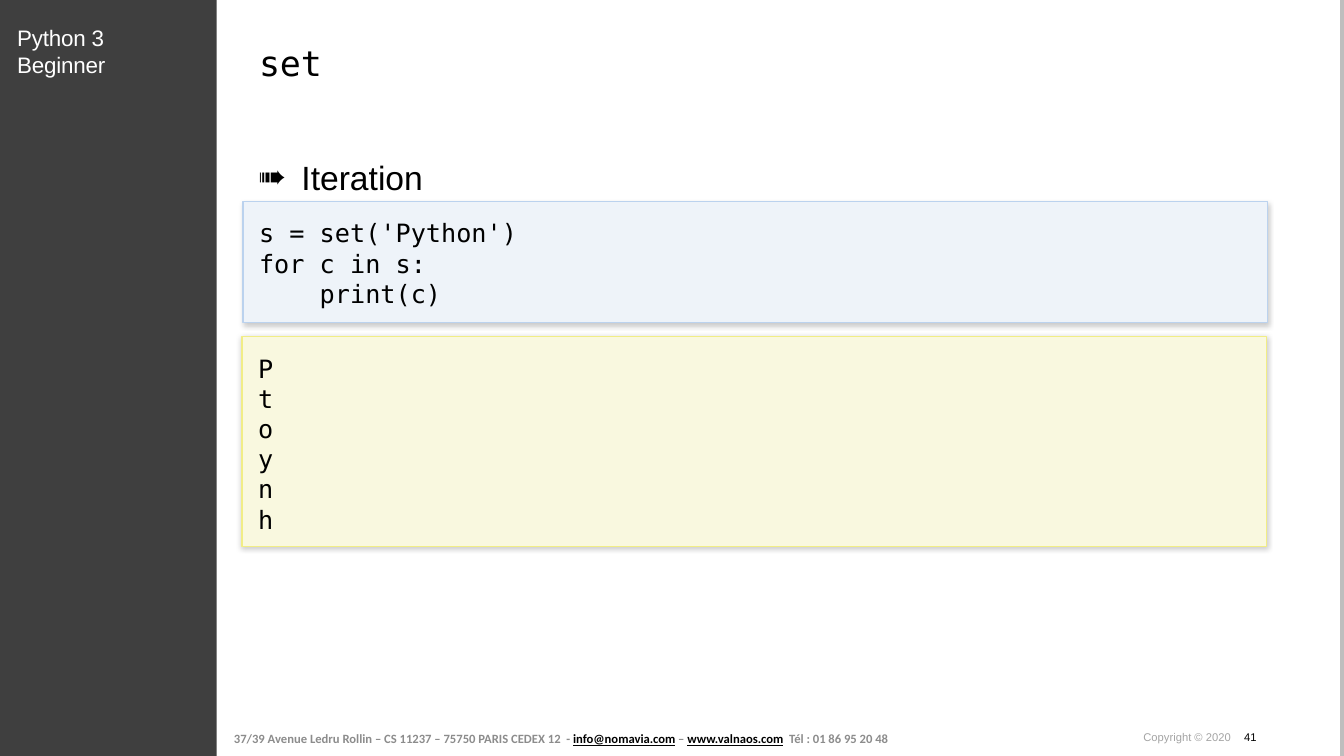
from lxml import etree
from pptx import Presentation
from pptx.dml.color import RGBColor
from pptx.enum import shapes, text
from pptx.oxml import parse_xml
from pptx.oxml.ns import nsdecls, qn
from pptx.util import Inches, Pt

# Content
COLORS = {"ink": "000000", "white": "FFFFFF", "sidebar": "3F3F3F", "edge": "BEBEBE",
          "footer": "8C8C8C", "copyright": "A4A4A4",
          "code": "EEF3F9", "code_line": "BBD2EE",
          "output": "F9F8DF", "output_line": "F1ED86"}
MONO = "DejaVu Sans Mono"
COURSE = "Python 3\vBeginner"
TITLE = "set"
TOPIC = "Iteration"
CODE = ["s = set('Python')", "for c in s:", "    print(c)"]
OUTPUT = ["P", "t", "o", "y", "n", "h"]
FOOTER = [("37/39 Avenue Ledru Rollin – CS 11237 – 75750 PARIS CEDEX 12  - ", False),
          ("info@nomavia.com", True), (" – ", False),
          ("www.valnaos.com", True), ("  Tél : 01 86 95 20 48", False)]
COPYRIGHT = [("Copyright © 2020", "copyright"), ("\t41", "ink")]
PANELS = [("code", CODE, (2.41, 2, 10.16, 1.2)),
          ("output", OUTPUT, (2.4, 3.34, 10.16, 2.08))]


def rgb(key):
    return RGBColor.from_string(COLORS[key])


def frame(sp, insets=(0, 0, 0, 0), anchor=text.MSO_ANCHOR.TOP):
    tf = sp.text_frame
    values = dict(zip(("margin_left", "margin_top", "margin_right", "margin_bottom"),
                      map(Inches, insets)))
    values.update(word_wrap=True, auto_size=text.MSO_AUTO_SIZE.NONE, vertical_anchor=anchor)
    for name, value in values.items():
        setattr(tf, name, value)
    return tf


def place(sp, box):
    for name, value in zip(("left", "top", "width", "height"), box):
        setattr(sp, name, Inches(value))


def indent(p, left, first=0):
    pPr = p._p.get_or_add_pPr()
    pPr.set("marL", str(Inches(left)))
    pPr.set("indent", str(Inches(first)))
    return pPr


def write(p, words, color, spacing=0, **font):
    p.alignment = text.PP_ALIGN.LEFT
    p.space_before = Pt(0)
    p.add_line_break() if not words else None
    for i, part in enumerate(words.split("\v")):
        if i:
            p.add_line_break()
        r = p.add_run()
        r.text = part
        for name, value in font.items():
            setattr(r.font, name, value)
        r.font.color.rgb = rgb(color)
        if spacing:
            r._r.get_or_add_rPr().set("spc", str(spacing))


def text_box(box, **options):
    return frame(slide.shapes.add_textbox(*map(Inches, box)), **options).paragraphs[0]


def add_shadow(sp):
    sp._element.spPr.append(parse_xml(
        f'<a:effectLst {nsdecls("a")}><a:outerShdw blurRad="{Pt(4)}" dist="{Pt(1)}" '
        'dir="5400000" rotWithShape="0"><a:srgbClr val="000000"><a:alpha val="20000"/>'
        '</a:srgbClr></a:outerShdw></a:effectLst>'))


prs = Presentation()
prs.slide_width, prs.slide_height = Inches(13.33), Inches(7.5)
slide = prs.slides.add_slide(prs.slide_layouts[1])

# Right edge and sidebar
edge = slide.shapes.add_connector(shapes.MSO_CONNECTOR.STRAIGHT,
                                  Inches(13.31), 0, Inches(13.31), Inches(7.5))
edge.line.color.rgb = rgb("edge")
edge.line.width = Pt(3.34)
etree.SubElement(edge._element.spPr, qn("a:effectLst"))

sidebar = slide.shapes.add_shape(shapes.MSO_SHAPE.RECTANGLE, 0, 0, Inches(2.15), Inches(7.5))
sidebar.shadow.inherit = False
sidebar.fill.solid()
sidebar.fill.fore_color.rgb = rgb("sidebar")
sidebar.line.fill.background()
p = text_box((0.16, 0.24, 1.81, 0.54))
indent(p, 0.01)
write(p, COURSE, "white", spacing=-10, size=Pt(16), name="Arial")

# Title and topic
title, body = slide.placeholders
place(title, (0.86, 0.41, 11.62, 0.42))
p = frame(title).paragraphs[0]
indent(p, 1.71)
write(p, TITLE, "ink", spacing=-10, size=Pt(25), name=MONO)

place(body, (0.75, 1.33, 11.82, 0.61))
p = frame(body, insets=(0, 0.23, 0, 0)).paragraphs[0]
pPr = indent(p, 2.24, -0.43)
etree.SubElement(pPr, qn("a:buChar")).set("char", "➠")
write(p, TOPIC, "ink", size=Pt(24), name="Arial")

# Code and output panels
for kind, lines, box in PANELS:
    sp = slide.shapes.add_shape(shapes.MSO_SHAPE.RECTANGLE, *map(Inches, box))
    sp.fill.solid()
    sp.fill.fore_color.rgb = rgb(kind)
    sp.line.color.rgb = rgb(kind + "_line")
    sp.line.width = Pt(1)
    add_shadow(sp)
    tf = frame(sp, insets=[0.16] * 4)
    for i, line in enumerate(lines):
        p = tf.add_paragraph() if i else tf.paragraphs[0]
        write(p, line, "ink", size=Pt(18), name=MONO)

# Footer
p = text_box((2.25, 7.17, 6.68, 0.32), insets=(0.07, 0.04, 0.07, 0.04),
             anchor=text.MSO_ANCHOR.MIDDLE)
for words, linked in FOOTER:
    write(p, words, "ink" if linked else "footer",
          size=Pt(9), name="Calibri", bold=True, underline=linked)

p = text_box((11.33, 7.25, 1.72, 0.13))
tabs = etree.SubElement(indent(p, 0.01), qn("a:tabLst"))
etree.SubElement(tabs, qn("a:tab"), pos=str(Inches(0.99)), algn="l")
for words, color in COPYRIGHT:
    write(p, words, color, size=Pt(8), name="Arial")

prs.save("out.pptx")
